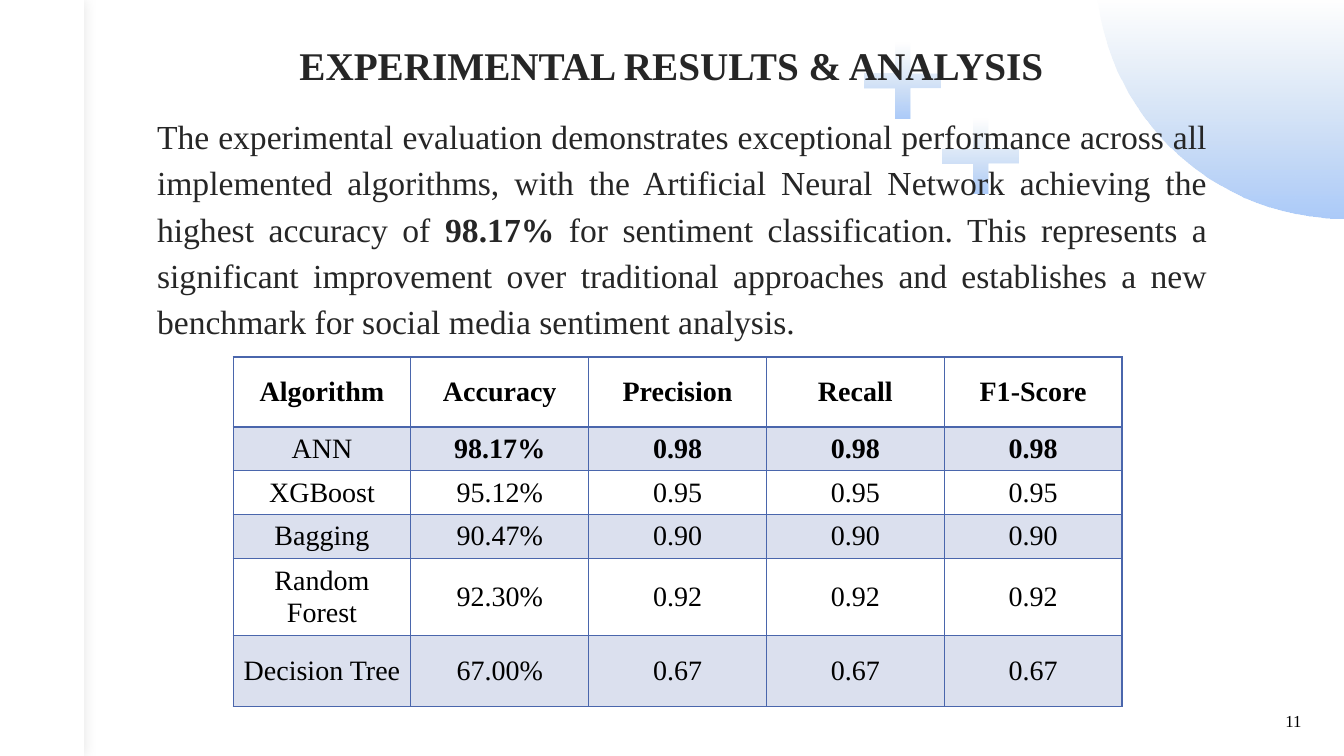
from lxml import etree
from pptx import Presentation
from pptx.dml.color import RGBColor
from pptx.enum.shapes import MSO_SHAPE
from pptx.enum.text import MSO_ANCHOR, PP_ALIGN
from pptx.oxml.ns import qn
from pptx.util import Pt

RECT, PLUS = MSO_SHAPE.RECTANGLE, MSO_SHAPE.CROSS
TOP, MIDDLE = MSO_ANCHOR.TOP, MSO_ANCHOR.MIDDLE
CENTER, JUSTIFY = PP_ALIGN.CENTER, PP_ALIGN.JUSTIFY
FONT = "Times New Roman"
DARK, BLACK, WHITE = "262626", "000000", "FFFFFF"
BLUE, BAND = "4A66AC", "DBE0EE"


def color(code):
    return RGBColor.from_string(code)


def write(para, text, size, ink, bold=False):
    run = para.add_run()
    run.text = text
    run.font.name = FONT
    run.font.size = Pt(size)
    run.font.bold = bold
    run.font.color.rgb = color(ink)


deck = Presentation()
deck.slide_width, deck.slide_height = Pt(960), Pt(540)
slide = deck.slides.add_slide(deck.slide_layouts[6])
shapes = slide.shapes

curves = [
    [(960, 156), (954.67, 156), (949.33, 155.8), (944, 155.3)],
    [(944, 155.3), (865.5, 148), (802, 90), (786.5, 14.4)],
]
edge = [(960, 0)]
for a, b, c, d in curves:
    for step in range(25):
        t = step / 24
        u = 1 - t
        edge.append(tuple(
            u**3 * a[i] + 3 * u * u * t * b[i] + 3 * u * t * t * c[i] + t**3 * d[i]
            for i in (0, 1)))
pen = shapes.build_freeform(Pt(784), 0)
pen.add_line_segments([(Pt(x), Pt(y)) for x, y in edge])
disc = pen.convert_to_shape()

panel = shapes.add_shape(RECT, 0, 0, Pt(60), Pt(540))
panel.fill.solid()
panel.fill.fore_color.rgb = color(WHITE)
panel.line.fill.background()
panel.shadow.inherit = False
glow = panel._element.spPr.find(qn("a:effectLst"))
shade = etree.SubElement(glow, qn("a:outerShdw"), blurRad=str(Pt(10)),
                         dist="0", dir="0", algn="ctr", rotWithShape="0")
tint = etree.SubElement(shade, qn("a:srgbClr"), val=BLACK)
etree.SubElement(tint, qn("a:alpha"), val="10000")

faded = [disc]
for left, top in [(617.5, 30.5), (673.5, 84.5)]:
    plus = shapes.add_shape(PLUS, Pt(left), Pt(top), Pt(54), Pt(54))
    plus.adjustments[0] = 0.4
    faded.append(plus)

for shape in faded:
    shape.shadow.inherit = False
    shape.line.fill.background()
    shape.fill.gradient()
    shape.fill.gradient_angle = 270
    for stop, code in zip(shape.fill.gradient_stops, ["B4CCE7", "ACCBF9"]):
        stop.color.rgb = color(code)
    first = next(shape._element.spPr.iter(qn("a:srgbClr")))
    etree.SubElement(first, qn("a:alpha"), val="0")

texts = [
    ((80.5, 29.5, 798, 66), TOP, CENTER, 0.9, 28, DARK,
     [("EXPERIMENTAL RESULTS & ANALYSIS", True)]),
    ((101.5, 75, 768, 404.5), TOP, JUSTIFY, 1.15, 24, DARK,
     [("The experimental evaluation demonstrates exceptional performance across all "
       "implemented algorithms, with the Artificial Neural Network achieving the "
       "highest accuracy of ", False),
      ("98.17%", True),
      (" for sentiment classification. This represents a significant improvement "
       "over traditional approaches and establishes a new benchmark for social "
       "media sentiment analysis.", False)]),
    ((906, 504, 36, 21.5), MIDDLE, CENTER, 1, 12, BLACK, [("11", False)]),
]
for place, anchor, align, space, size, ink, runs in texts:
    frame = shapes.add_textbox(*[Pt(v) for v in place]).text_frame
    frame.word_wrap = True
    frame.vertical_anchor = anchor
    para = frame.paragraphs[0]
    para.alignment = align
    para.line_spacing = space
    if align == JUSTIFY:
        para._p.get_or_add_pPr().set("marL", str(Pt(3.6)))
    for text, bold in runs:
        write(para, text, size, ink, bold)

data = [
    ["Algorithm", "Accuracy", "Precision", "Recall", "F1-Score"],
    ["ANN", "98.17%", "0.98", "0.98", "0.98"],
    ["XGBoost", "95.12%", "0.95", "0.95", "0.95"],
    ["Bagging", "90.47%", "0.90", "0.90", "0.90"],
    ["Random Forest", "92.30%", "0.92", "0.92", "0.92"],
    ["Decision Tree", "67.00%", "0.67", "0.67", "0.67"],
]
highs = [50, 31, 31, 31, 55.5, 50.5]
table = shapes.add_table(6, 5, Pt(166.5), Pt(255), Pt(635), Pt(sum(highs))).table
table.first_row = False
table.horz_banding = False
for col in table.columns:
    col.width = Pt(127)
for r, (row, high) in enumerate(zip(data, highs)):
    table.rows[r].height = Pt(high)
    for c, text in enumerate(row):
        cell = table.cell(r, c)
        cell.vertical_anchor = MIDDLE
        para = cell.text_frame.paragraphs[0]
        para.alignment = CENTER
        write(para, text, 20, BLACK, r == 0 or (r == 1 and c > 0))
        props = cell._tc.get_or_add_tcPr()
        for side in ["lnL", "lnR", "lnT", "lnB"]:
            thick = (r, side) in [(0, "lnB"), (1, "lnT")]
            line = etree.SubElement(props, qn("a:" + side), w=str(Pt(2 if thick else 1)))
            fill = etree.SubElement(line, qn("a:solidFill"))
            etree.SubElement(fill, qn("a:srgbClr"), val=BLUE)
        if r % 2:
            cell.fill.solid()
            cell.fill.fore_color.rgb = color(BAND)
        else:
            cell.fill.background()

deck.save("out.pptx")
